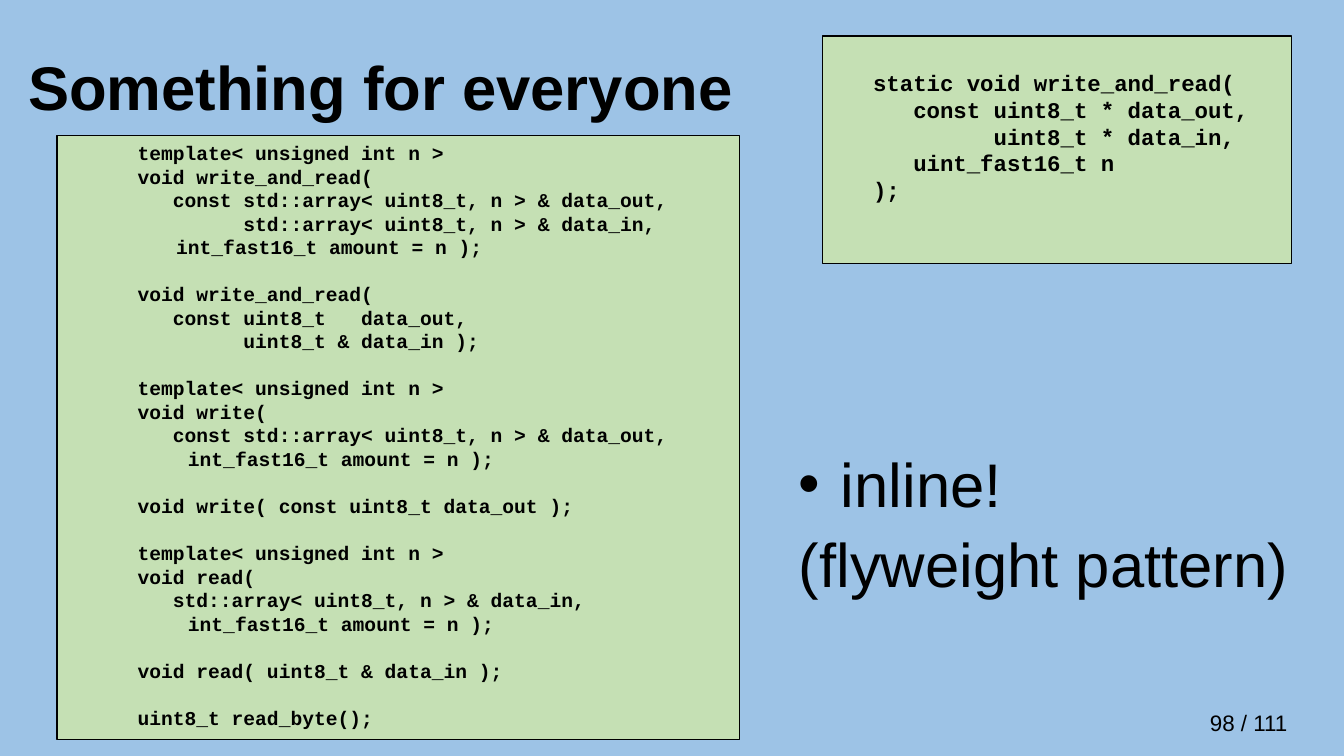
"""Build the slide that compares two families of write and read functions."""
from dataclasses import dataclass

from lxml.etree import SubElement
from pptx import Presentation
from pptx.dml.color import RGBColor
from pptx.enum.shapes import MSO_SHAPE as Shape
from pptx.enum.text import MSO_ANCHOR as Anchor, MSO_AUTO_SIZE as AutoSize, PP_ALIGN as Align
from pptx.oxml.ns import qn
from pptx.util import Emu, Pt

COLORS = {"background": "9DC3E6", "code": "C5E0B4", "ink": "000000"}
WIDTH, HEIGHT = 1344, 756
EMU_PER_PX = 914400 / 100.8
CODE_LEADING = 1.2


@dataclass(frozen=True)
class Box:
    left: int
    top: int
    width: int
    height: int


@dataclass(frozen=True)
class CodePanel:
    box: Box
    size: int
    inset_top: int
    blocks: tuple[str, ...]


PANELS = (
    CodePanel(Box(57, 136, 683, 604), 14, 5, (
        """\
      template< unsigned int n >
      void write_and_read(
         const std::array< uint8_t, n > & data_out,
               std::array< uint8_t, n > & data_in,
\t     int_fast16_t amount = n );""",
        """\
      void write_and_read(
         const uint8_t   data_out,
               uint8_t & data_in );""",
        """\
      template< unsigned int n >
      void write(
         const std::array< uint8_t, n > & data_out,
\t      int_fast16_t amount = n );""",
        "      void write( const uint8_t data_out );",
        """\
      template< unsigned int n >
      void read(
         std::array< uint8_t, n > & data_in,
\t      int_fast16_t amount = n );""",
        "      void read( uint8_t & data_in );",
        "      uint8_t read_byte();",
    )),
    CodePanel(Box(823, 36, 469, 228), 16, 33, (
        """\
   static void write_and_read(
      const uint8_t * data_out,
            uint8_t * data_in,
      uint_fast16_t n
   );""",
    )),
)


def px(value: int) -> Emu:
    """Turn pixels into EMU."""
    return Emu(round(value * EMU_PER_PX))


def rgb(name: str) -> RGBColor:
    """Look up a colour by its role."""
    return RGBColor.from_string(COLORS[name])


def place(sp, box: Box) -> None:
    """Move a shape onto its box."""
    sp.left, sp.top, sp.width, sp.height = map(px, (box.left, box.top, box.width, box.height))


def prepare(sp, anchor: Anchor = Anchor.TOP):
    """Return the shape's wrapped text frame."""
    tf = sp.text_frame
    tf.word_wrap = True
    tf.auto_size = AutoSize.NONE
    tf.vertical_anchor = anchor
    return tf


def add_run(p, text: str, size: int, font: str = "Arial", bold: bool = False) -> None:
    """Append one formatted run to a left-aligned paragraph."""
    p.alignment = Align.LEFT
    r = p.add_run()
    r.text = text
    r.font.name, r.font.size, r.font.bold = font, Pt(size), bold
    r.font.color.rgb = rgb("ink")


def add_text_box(slide, box: Box):
    """Add an empty wrapped text box and return its text frame."""
    sp = slide.shapes.add_textbox(0, 0, 0, 0)
    place(sp, box)
    return prepare(sp)


def add_bullet(p, indent: int) -> None:
    """Give a paragraph a hanging round bullet."""
    pPr = p._p.get_or_add_pPr()
    pPr.set("marL", str(px(indent)))
    pPr.set("indent", str(-px(indent)))
    SubElement(pPr, qn("a:buFont"), typeface="Arial")
    SubElement(pPr, qn("a:buChar"), char="•")


def add_title(slide, text: str) -> None:
    """Fill and format the title placeholder."""
    sp = slide.shapes.title
    place(sp, Box(18, 18, 1159, 146))
    p = prepare(sp, Anchor.MIDDLE).paragraphs[0]
    p.line_spacing = 0.9
    add_run(p, text, 44, bold=True)


def add_code(slide, panel: CodePanel) -> None:
    """Draw a code panel with one line of space between its blocks."""
    sp = slide.shapes.add_shape(Shape.RECTANGLE, 0, 0, 0, 0)
    place(sp, panel.box)
    sp.shadow.inherit = False
    sp.fill.solid()
    sp.fill.fore_color.rgb = rgb("code")
    sp.line.color.rgb = rgb("ink")
    sp.line.width = Pt(0.75)
    tf = prepare(sp)
    tf.margin_top = px(panel.inset_top)
    leading = Pt(panel.size * CODE_LEADING)
    p = tf.paragraphs[0]
    for b, block in enumerate(panel.blocks):
        for i, line in enumerate(block.splitlines()):
            if b or i:
                p = tf.add_paragraph()
            p.line_spacing = leading
            if b and not i:
                p.space_before = leading
            add_run(p, line, panel.size, "Courier New", True)


def add_remarks(slide) -> None:
    """Write the two remarks at the lower right."""
    tf = add_text_box(slide, Box(789, 449, 515, 230))
    p = tf.paragraphs[0]
    add_bullet(p, 25)
    p.line_spacing = 0.9
    add_run(p, " inline!", 44)
    p = tf.add_paragraph()
    p.line_spacing = 0.9
    p.space_before = Pt(10)
    add_run(p, "(flyweight pattern)", 44)


def main() -> None:
    """Build and save the slide."""
    prs = Presentation()
    prs.slide_width, prs.slide_height = px(WIDTH), px(HEIGHT)
    slide = prs.slides.add_slide(prs.slide_layouts.get_by_name("Title Only"))
    fill = slide.background.fill
    fill.solid()
    fill.fore_color.rgb = rgb("background")
    add_title(slide, "Something for everyone")
    for panel in PANELS:
        add_code(slide, panel)
    add_remarks(slide)
    add_run(add_text_box(slide, Box(1200, 704, 126, 37)).paragraphs[0], "98 / 111", 16)
    prs.save("out.pptx")


if __name__ == "__main__":
    main()
